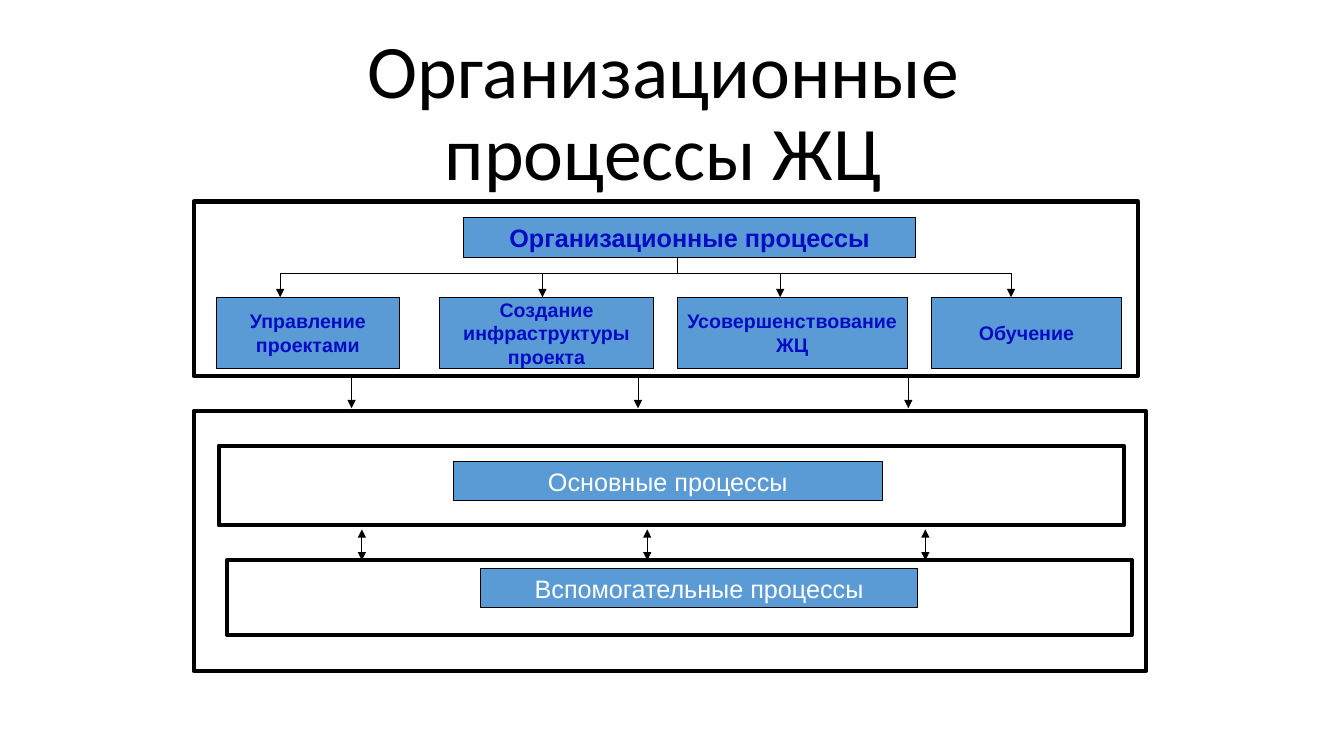
import pptx
import pptx.util
import pptx.dml.color
import pptx.enum.shapes
import pptx.enum.text
import pptx.oxml.ns
import pptx.oxml.xmlchemy

Cm, Pt = pptx.util.Cm, pptx.util.Pt

COLOURS = {"ink": "000000", "paper": "FFFFFF", "box": "5B9BD5", "strong": "030CC3"}
TITLE = "Организационные процессы ЖЦ"
TITLE_PLACE = (5.92, 0.64, 21.59, 4.45)

# Places are left, top, width, height in centimetres
FRAMES = [
    (4.88, 10.36, 24, 6.55),
    (5.51, 11.23, 22.81, 2.01),
    (4.88, 5.08, 23.8, 4.39),
    (5.72, 14.12, 22.81, 1.88),
]
PLAIN = {"size": Pt(18), "name": "Arial", "bold": False}
HEADING = {"size": Pt(18), "name": "Arial", "bold": True}
DETAIL = {"size": Pt(14), "name": "Arial", "bold": True}
LABELS = [
    (["Основные процессы"], (11.43, 11.63, 10.8, 0.99), PLAIN, "paper"),
    (["Организационные процессы"], (11.68, 5.49, 11.4, 0.99), HEADING, "strong"),
    (["Вспомогательные процессы"], (12.12, 14.33, 11, 0.99), PLAIN, "paper"),
]
# Lines of text, left, width, x of the arrow from the branch bar
BRANCHES = [
    (["Управление", "проектами"], 5.46, 4.6, 7.06),
    (["Создание", "инфраструктуры", "проекта"], 11.07, 5.41, 13.67),
    (["Усовершенствование", "ЖЦ"], 17.07, 5.79, 19.66),
    (["Обучение"], 23.47, 4.8, 25.48),
]
BRANCH_TOP, BRANCH_HEIGHT = 7.49, 1.8
STEM_X, STEM_TOP, BAR_Y = 17.07, 6.48, 6.88
# x of each arrow, top, bottom, arrowheads
ARROW_ROWS = [
    ([8.86, 16.08, 22.89], 9.47, 10.29, ["tailEnd"]),
    ([9.12, 16.31, 23.32], 13.34, 14.12, ["headEnd", "tailEnd"]),
]


def colour(name):
    return pptx.dml.color.RGBColor.from_string(COLOURS[name])


def set_values(target, values):
    for name, value in values.items():
        setattr(target, name, value)


def add_box(slide, place, fill, line_width):
    shape = slide.shapes.add_shape(
        pptx.enum.shapes.MSO_SHAPE.RECTANGLE, *map(Cm, place))
    shape.shadow.inherit = False
    shape.fill.solid()
    shape.fill.fore_color.rgb = colour(fill)
    shape.line.color.rgb = colour("ink")
    shape.line.width = Pt(line_width)
    return shape


def write(text_frame, lines, font, font_colour, frame_format):
    """Fill a text frame with one centred paragraph per line."""
    set_values(text_frame, frame_format)
    text_frame.text = "\n".join(lines)
    for paragraph in text_frame.paragraphs:
        paragraph.alignment = pptx.enum.text.PP_ALIGN.CENTER
        set_values(paragraph.font, font)
        paragraph.font.color.rgb = colour(font_colour)


def add_label(slide, lines, place, font, font_colour):
    shape = add_box(slide, place, "box", 0.75)
    write(shape.text_frame, lines, font, font_colour, {
        "word_wrap": False,
        "vertical_anchor": pptx.enum.text.MSO_ANCHOR.MIDDLE})


def add_line(slide, x1, y1, x2, y2, heads=()):
    connector = slide.shapes.add_connector(
        pptx.enum.shapes.MSO_CONNECTOR.STRAIGHT, *map(Cm, (x1, y1, x2, y2)))
    connector.line.color.rgb = colour("ink")
    connector.line.width = Pt(0.75)
    properties = connector._element.find(pptx.oxml.ns.qn("p:spPr"))
    outline = properties.find(pptx.oxml.ns.qn("a:ln"))
    for head in heads:
        end = pptx.oxml.xmlchemy.OxmlElement(f"a:{head}")
        end.set("type", "triangle")
        outline.append(end)
    properties.append(pptx.oxml.xmlchemy.OxmlElement("a:effectLst"))


def add_title(slide):
    title = slide.shapes.title
    names = ("left", "top", "width", "height")
    set_values(title, dict(zip(names, map(Cm, TITLE_PLACE))))
    write(title.text_frame, [TITLE], {"size": Pt(54), "name": "Calibri"}, "ink", {
        "word_wrap": True,
        "auto_size": pptx.enum.text.MSO_AUTO_SIZE.NONE,
        "vertical_anchor": pptx.enum.text.MSO_ANCHOR.BOTTOM})
    title.text_frame.paragraphs[0].line_spacing = 0.9


def main():
    presentation = pptx.Presentation()
    presentation.slide_width, presentation.slide_height = Cm(33.87), Cm(19.05)
    slide = presentation.slides.add_slide(presentation.slide_layouts[5])
    add_title(slide)

    for place in FRAMES:
        add_box(slide, place, "paper", 3)
    for label in LABELS:
        add_label(slide, *label)

    add_line(slide, STEM_X, STEM_TOP, STEM_X, BAR_Y)
    add_line(slide, BRANCHES[0][-1], BAR_Y, BRANCHES[-1][-1], BAR_Y)
    for lines, left, width, arrow_x in BRANCHES:
        place = (left, BRANCH_TOP, width, BRANCH_HEIGHT)
        add_label(slide, lines, place, DETAIL, "strong")
        add_line(slide, arrow_x, BAR_Y, arrow_x, BRANCH_TOP, ["tailEnd"])

    for positions, top, bottom, heads in ARROW_ROWS:
        for x in positions:
            add_line(slide, x, top, x, bottom, heads)

    presentation.save("out.pptx")


if __name__ == "__main__":
    main()
